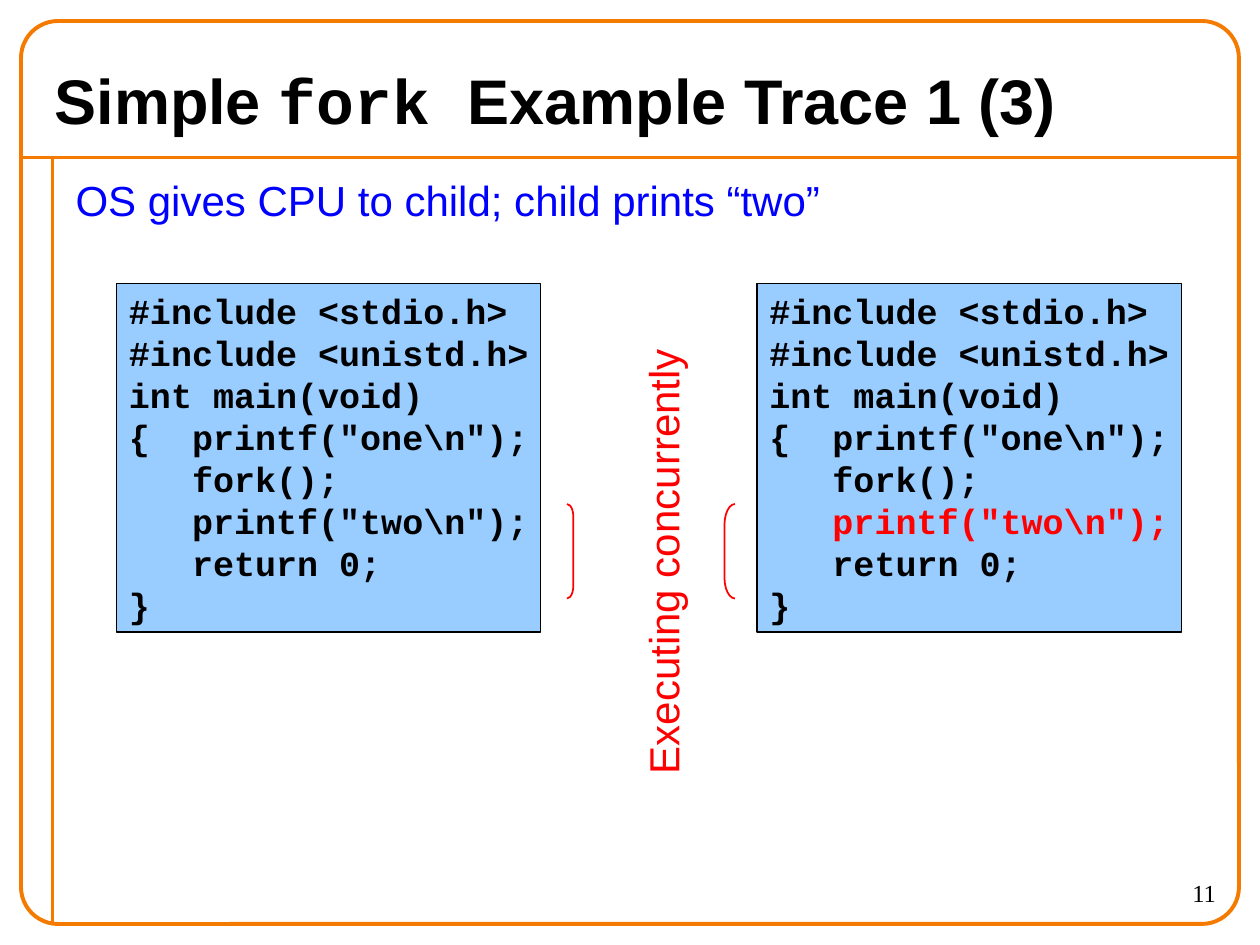
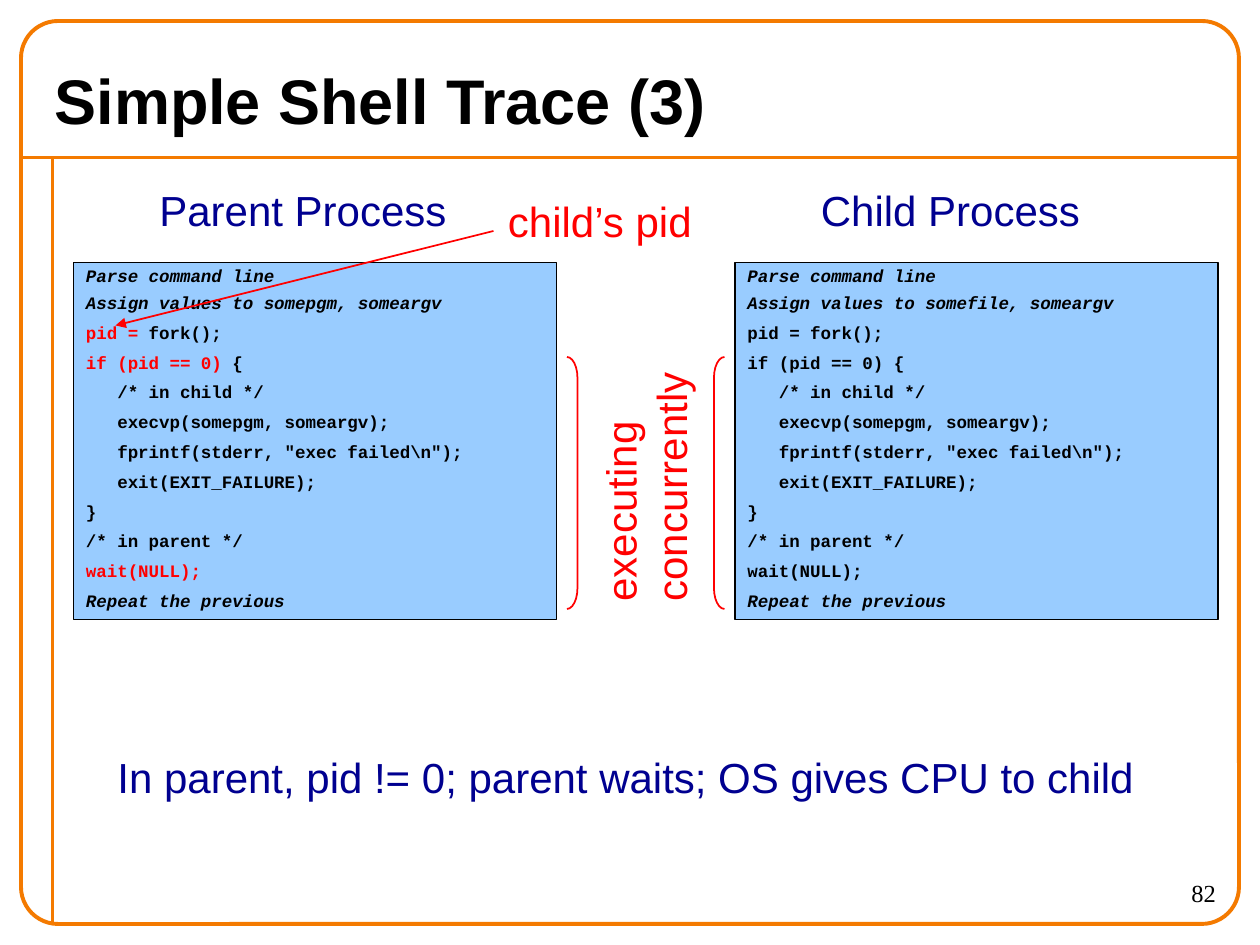
from dataclasses import dataclass

from lxml import etree
from pptx import Presentation
from pptx.dml.color import RGBColor
from pptx.enum.shapes import MSO_CONNECTOR, MSO_SHAPE
from pptx.enum.text import MSO_ANCHOR, MSO_AUTO_SIZE, PP_ALIGN
from pptx.oxml.ns import qn
from pptx.util import Pt

STRAIGHT = MSO_CONNECTOR.STRAIGHT
RECTANGLE, ROUNDED = MSO_SHAPE.RECTANGLE, MSO_SHAPE.ROUNDED_RECTANGLE
LEFT_BRACKET, RIGHT_BRACKET = MSO_SHAPE.LEFT_BRACKET, MSO_SHAPE.RIGHT_BRACKET
LEFT, RIGHT = PP_ALIGN.LEFT, PP_ALIGN.RIGHT
TOP, MIDDLE = MSO_ANCHOR.TOP, MSO_ANCHOR.MIDDLE
NO_FIT = MSO_AUTO_SIZE.NONE
TITLE_AND_BODY, TITLE_ONLY = 1, 5
EMU_PER_PX = 7620  # 120 px to the inch


@dataclass(frozen=True)
class Theme:
    black: RGBColor = RGBColor(0x00, 0x00, 0x00)
    orange: RGBColor = RGBColor(0xF4, 0x7A, 0x00)
    red: RGBColor = RGBColor(0xFF, 0x00, 0x00)
    blue: RGBColor = RGBColor(0x00, 0x00, 0xFF)
    navy: RGBColor = RGBColor(0x00, 0x00, 0x90)
    sky: RGBColor = RGBColor(0x99, 0xCC, 0xFF)
    sans: str = "Arial"
    mono: str = "Courier New"
    serif: str = "Times New Roman"
    title_size: Pt = Pt(36)
    text_size: Pt = Pt(24)
    code_size: Pt = Pt(20)
    small_code_size: Pt = Pt(10)
    number_size: Pt = Pt(14)


theme = Theme()
RED, ITALIC = {"color": theme.red}, {"italic": True}
TITLE = {"name": theme.sans, "size": theme.title_size, "bold": True, "color": theme.black}
TEXT = {"name": theme.sans, "size": theme.text_size, "bold": False}
CODE = {"name": theme.mono, "size": theme.code_size, "bold": True, "color": theme.black}
SMALL_CODE = CODE | {"size": theme.small_code_size}
NUMBER = {"name": theme.serif, "size": theme.number_size, "color": theme.black}


def px(*lengths):
    return [length * EMU_PER_PX for length in lengths]


def write(box, lines, style, wrap=True, anchor=TOP, align=LEFT, gap=0, spacings=()):
    """Fill a box with lines; each line is a list of (text, style changes) spans."""
    frame = box.text_frame
    for key, value in {"word_wrap": wrap, "vertical_anchor": anchor, "auto_size": NO_FIT}.items():
        setattr(frame, key, value)
    for index, line in enumerate(lines):
        para = frame.add_paragraph() if index else frame.paragraphs[0]
        para.alignment = align
        para.space_before = Pt(gap if index else 0)
        if spacings:
            para.line_spacing = spacings[index]
        for text, changes in line:
            span = para.add_run()
            span.text = text
            for key, value in (style | changes).items():
                if key == "color":
                    span.font.color.rgb = value
                else:
                    setattr(span.font, key, value)


deck = Presentation()
deck.slide_width, deck.slide_height = px(1200, 900)

# Both pages: title and page number
headings = [
    (TITLE_AND_BODY, "11", [("Simple ", {}), ("fork ", {"name": theme.mono}), ("Example Trace 1 (3)", {})]),
    (TITLE_ONLY, "82", [("Simple Shell Trace (3)", {})]),
]
for layout, number, heading in headings:
    page = deck.slides.add_slide(deck.slide_layouts[layout])
    title = page.shapes.title
    title.left, title.top, title.width, title.height = px(40, 50, 1120, 90)
    write(title, [heading], TITLE, anchor=MIDDLE)
    write(page.shapes.add_textbox(*px(1050, 830, 120, 50)), [[(number, {})]], NUMBER, align=RIGHT)
fork_page, shell_page = deck.slides

# Orange frame, made once and moved to the slide master
outline = fork_page.shapes.add_shape(ROUNDED, *px(20, 20, 1160, 880 - 20))
outline.adjustments[0] = 0.041
outline.shadow.inherit = False
outline.fill.background()
rules = [fork_page.shapes.add_connector(STRAIGHT, *px(*ends))
         for ends in [(20, 150, 1180, 150), (50, 150, 50, 880)]]
for rule in rules:
    etree.SubElement(rule.element.spPr, qn("a:effectLst"))
for shape_id, part in enumerate([*rules, outline], start=101):
    part.line.color.rgb = theme.orange
    part.line.width = Pt(2.25)
    part.element.xpath(".//p:cNvPr")[0].set("id", str(shape_id))
    deck.slide_master.shapes.element.append(part.element)

# Fork page: message
message = fork_page.placeholders[1]
message.left, message.top, message.width, message.height = px(60, 160, 1110, 720)
properties = message.text_frame.paragraphs[0]._p.get_or_add_pPr()
properties.set("marL", "0")
properties.set("indent", "0")
etree.SubElement(properties, qn("a:buNone"))
write(message, [[("OS gives CPU to child; child prints “two”", {})]], TEXT | {"color": theme.blue})

# Code panels of both pages
code_panels = []
for left, printing in [(111, {}), (721, RED)]:
    program = [
        [("#include <stdio.h>", {})],
        [("#include <unistd.h>", {})],
        [("int main(void)", {})],
        [('{  printf("one\\n");', {})],
        [("   fork();", {})],
        [('   printf("two\\n");', printing)],
        [("   return 0;", {})],
        [("}", {})],
    ]
    code_panels.append((fork_page, (left, 270, 404, 332), program, CODE, {"wrap": False}))
for left, target, active in [(70, "somepgm", RED), (700, "somefile", {})]:
    program = [
        [("Parse command line", ITALIC)],
        [(f"Assign values to {target}, someargv", ITALIC)],
        [("pid = ", active), ("fork();", {})],
        [("if (pid == 0)", active), (" {", {})],
        [("   /* in child */", {})],
        [("   execvp(somepgm, someargv);", {})],
        [('   fprintf(stderr, "exec failed\\n");', {})],
        [("   exit(EXIT_FAILURE);", {})],
        [("}", {})],
        [("/* in parent */", {})],
        [("wait(NULL);", active)],
        [("Repeat the previous", ITALIC)],
    ]
    spacing = {"gap": 6.2, "spacings": [0.8] * 2 + [0.9] * 10}
    code_panels.append((shell_page, (left, 250, 460, 340), program, SMALL_CODE, spacing))
for page, place, program, style, layout in code_panels:
    panel = page.shapes.add_shape(RECTANGLE, *px(*place))
    panel.shadow.inherit = False
    panel.fill.solid()
    panel.fill.fore_color.rgb = theme.sky
    panel.line.color.rgb = theme.black
    panel.line.width = Pt(0.75)
    write(panel, program, style, **layout)

# Brackets beside the lines that run concurrently
for page, kind, place in [
    (fork_page, RIGHT_BRACKET, (540, 480, 6, 90)),
    (fork_page, LEFT_BRACKET, (690, 480, 10, 90)),
    (shell_page, RIGHT_BRACKET, (540, 340, 10, 240)),
    (shell_page, LEFT_BRACKET, (680, 340, 10, 240)),
]:
    bracket = page.shapes.add_shape(kind, *px(*place))
    bracket.adjustments[0] = 2
    bracket.shadow.inherit = False
    bracket.fill.background()
    bracket.line.color.rgb = theme.red
    bracket.line.width = Pt(1)

# Labels, some of them turned to read upwards
for page, place, color, rotation, lines in [
    (fork_page, (406, 494, 450, 60), theme.red, 270, ["Executing concurrently"]),
    (shell_page, (492, 408, 245, 108), theme.red, 270, ["executing", "concurrently"]),
    (shell_page, (140, 170, 298, 60), theme.navy, 0, ["Parent Process"]),
    (shell_page, (770, 170, 270, 60), theme.navy, 0, ["Child Process"]),
    (shell_page, (472, 180, 199, 60), theme.red, 0, ["child’s pid"]),
    (shell_page, (100, 710, 992, 60), theme.navy, 0,
     ["In parent, pid != 0; parent waits; OS gives CPU to child"]),
]:
    label = page.shapes.add_textbox(*px(*place))
    label.rotation = rotation
    write(label, [[(line, {})] for line in lines], TEXT | {"color": color}, wrap=rotation != 0)

# Arrow from the child's pid to the assignment
arrow = shell_page.shapes.add_connector(STRAIGHT, *px(470, 220, 110, 310))
arrow.line.color.rgb = theme.red
arrow.line.width = Pt(1)
etree.SubElement(arrow.line._get_or_add_ln(), qn("a:tailEnd"), type="triangle")
etree.SubElement(arrow.element.spPr, qn("a:effectLst"))

deck.save("out.pptx")
